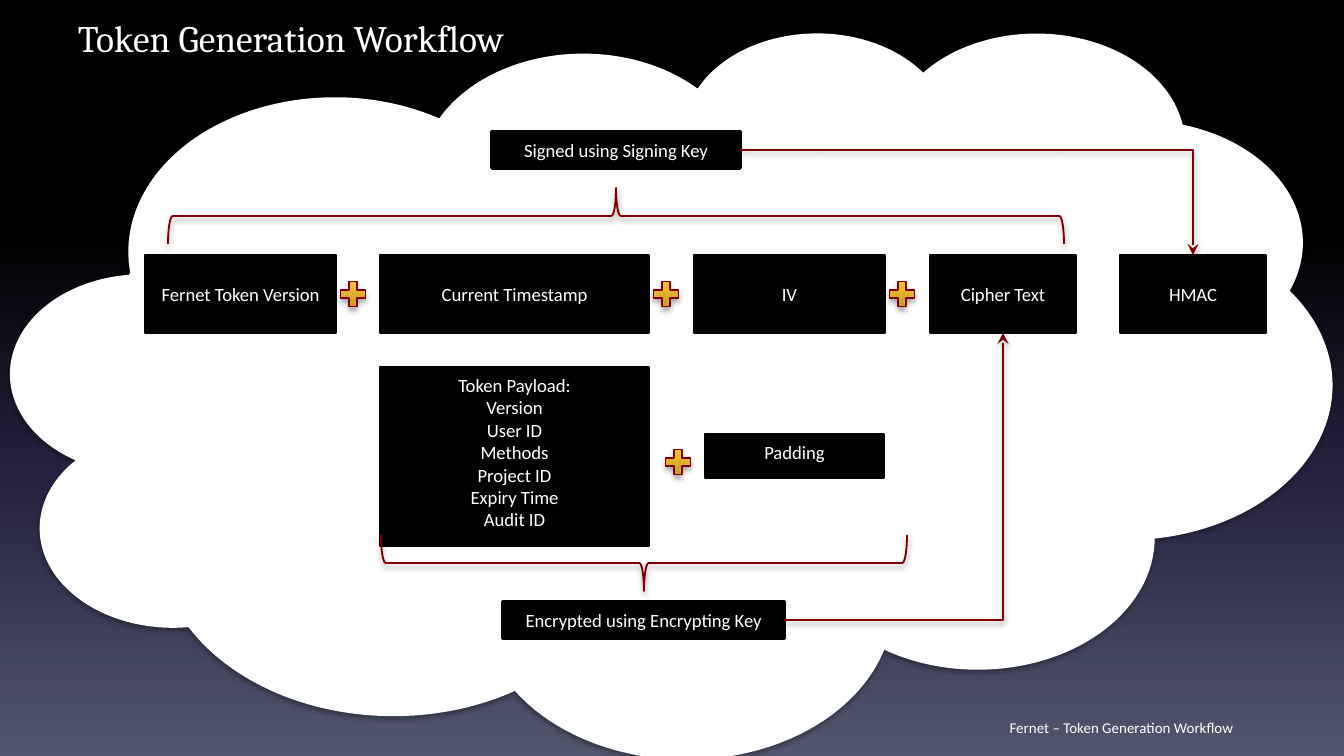
from dataclasses import dataclass
from typing import Any, Optional

from lxml.etree import SubElement
from pptx import Presentation
from pptx.dml.color import RGBColor
from pptx.enum.shapes import MSO_CONNECTOR, MSO_SHAPE
from pptx.enum.text import MSO_ANCHOR, MSO_AUTO_SIZE, PP_ALIGN
from pptx.oxml.ns import qn
from pptx.util import Emu, Pt

SCALE = 9144000 / 1344
BLACK = RGBColor(0x00, 0x00, 0x00)
WHITE = RGBColor(0xFF, 0xFF, 0xFF)
MAROON = RGBColor(0x80, 0x00, 0x00)
NIGHT = [(0, BLACK), (31, BLACK), (62, RGBColor(0x24, 0x21, 0x3E)),
         (100, RGBColor(0x51, 0x56, 0x6D))]
GOLD = [(0, RGBColor(0xBF, 0x94, 0x26)), (80, RGBColor(0xF8, 0xC0, 0x31)),
        (100, RGBColor(0xFD, 0xC3, 0x2D))]


@dataclass(frozen=True)
class Card:
    text: str
    left: int
    top: int
    width: int
    height: int
    anchor: Any = MSO_ANCHOR.MIDDLE
    fit: Any = MSO_AUTO_SIZE.NONE
    edge: float = 0.75


@dataclass(frozen=True)
class Brace:
    left: int
    top: int
    height: int
    turn: int


@dataclass(frozen=True)
class Arrow:
    start: str
    goal: str
    site: int


ROW = [("Fernet Token Version", 191), ("Current Timestamp", 269), ("IV", 191),
       ("Cipher Text", 146), ("HMAC", 146)]
ROW_LEFT, ROW_TOP, ROW_HIGH, GAP = 145, 255, 78, 44.5
PAYLOAD = "\n".join(["Token Payload:", "Version", "User ID", "Methods",
                     "Project ID", "Expiry Time", "Audit ID"])
SIGN, CRYPT = "Signed using Signing Key", "Encrypted using Encrypting Key"
TALL = {"anchor": MSO_ANCHOR.TOP}
KEY = {"anchor": MSO_ANCHOR.TOP, "fit": MSO_AUTO_SIZE.SHAPE_TO_FIT_TEXT, "edge": 2}
CARDS = [
    Card(PAYLOAD, 380, 367, 269, 179, **TALL),
    Card("Padding", 705, 434, 179, 44, **TALL),
    Card(CRYPT, 503, 602, 281, 36, **KEY),
    Card(SIGN, 492, 132, 248, 36, **KEY),
]
BRACES = [Brace(616, 300, 526, 270), Brace(588, -232, 896, 90)]
SIGNS = [(661, 445), (336, 277), (649, 277), (885, 277)]
ARROWS = [Arrow(SIGN, "HMAC", 0), Arrow(CRYPT, "Cipher Text", 2)]


def px(*spans: float) -> list[Emu]:
    return [Emu(round(span * SCALE)) for span in spans]


def apply(target: Any, values: dict[str, Any]) -> None:
    for name, value in values.items():
        setattr(target, name, value)


def blend(fill: Any, root: Any, stops: list, angle: int) -> None:
    fill.gradient()
    fill.gradient_angle = angle
    ramp = root.xpath(".//a:gsLst")[0]
    for stop in list(ramp):
        ramp.remove(stop)
    for place, color in stops:
        stop = SubElement(ramp, qn("a:gs"), pos=str(place * 1000))
        SubElement(stop, qn("a:srgbClr"), val=str(color))


def shade(shape: Any, alpha: int, reach: float) -> None:
    props = shape.element.spPr
    found = props.find(qn("a:effectLst"))
    group = SubElement(props, qn("a:effectLst")) if found is None else found
    cast = SubElement(group, qn("a:outerShdw"), blurRad=str(Pt(3.1)),
                      dist=str(Pt(reach)), dir="5400000", rotWithShape="0")
    color = SubElement(cast, qn("a:srgbClr"), val=str(BLACK))
    SubElement(color, qn("a:alpha"), val=str(alpha * 1000))


def write(shape: Any, text: str, size: int, font: str = "Calibri",
          anchor: Any = MSO_ANCHOR.MIDDLE, fit: Any = MSO_AUTO_SIZE.NONE) -> None:
    frame = shape.text_frame
    frame.text = text
    apply(frame, {"word_wrap": True, "auto_size": fit, "vertical_anchor": anchor})
    for line in frame.paragraphs:
        line.alignment = PP_ALIGN.CENTER
        for run in line.runs:
            apply(run.font, {"size": Pt(size), "name": font})
            run.font.color.rgb = WHITE


def draw(shapes: Any, kind: Any, box: tuple, fill: Optional[RGBColor],
         edge: Optional[RGBColor], width: float = 0.75) -> Any:
    shape = shapes.add_shape(kind, *px(*box))
    shape.shadow.inherit = False
    if fill is None:
        shape.fill.background()
    else:
        shape.fill.solid()
        shape.fill.fore_color.rgb = fill
    if edge is None:
        shape.line.fill.background()
    else:
        shape.line.color.rgb = edge
        shape.line.width = Pt(width)
    return shape


def add_card(shapes: Any, card: Card) -> Any:
    box = (card.left, card.top, card.width, card.height)
    shape = draw(shapes, MSO_SHAPE.RECTANGLE, box, BLACK, BLACK, card.edge)
    write(shape, card.text, 10, anchor=card.anchor, fit=card.fit)
    return shape


def add_brace(shapes: Any, brace: Brace) -> None:
    box = (brace.left, brace.top, 56, brace.height)
    shape = draw(shapes, MSO_SHAPE.LEFT_BRACE, box, None, MAROON, 1)
    shape.rotation = brace.turn
    shade(shape, 38, 1.6)


def add_plus(shapes: Any, left: int, top: int) -> None:
    shape = draw(shapes, MSO_SHAPE.MATH_PLUS, (left, top, 34, 34), None, MAROON)
    blend(shape.fill, shape.element, GOLD, 90)
    shade(shape, 35, 1.8)


def add_arrow(shapes: Any, arrow: Arrow, boxes: dict[str, Any]) -> None:
    start, goal = boxes[arrow.start], boxes[arrow.goal]
    end_y = goal.top + (goal.height if arrow.site == 2 else 0)
    wire = shapes.add_connector(
        MSO_CONNECTOR.ELBOW, start.left + start.width, start.top + start.height // 2,
        goal.left + goal.width // 2, end_y)
    wire.begin_connect(start, 3)
    wire.end_connect(goal, arrow.site)
    wire.element.spPr.find(qn("a:prstGeom")).set("prst", "bentConnector2")
    wire.line.color.rgb = MAROON
    wire.line.width = Pt(1)
    SubElement(wire.element.spPr.find(qn("a:ln")), qn("a:tailEnd"), type="stealth")
    shade(wire, 38, 1.6)


def main() -> None:
    deck = Presentation()
    deck.slide_width, deck.slide_height = px(1344, 756)
    slide = deck.slides.add_slide(deck.slide_layouts[5])
    shapes = slide.shapes
    blend(slide.background.fill, slide.element, NIGHT, 270)

    title = shapes.title
    apply(title, dict(zip(("left", "top", "width", "height"), px(0, 8, 582, 55))))
    write(title, "Token Generation Workflow", 20, "Cambria", MSO_ANCHOR.TOP)
    foot = shapes.add_textbox(*px(903, 714, 437, 27))
    write(foot, "Fernet – Token Generation Workflow", 8)
    cloud = draw(shapes, MSO_SHAPE.CLOUD, (11, 31, 1321, 726), WHITE, None)
    shade(cloud, 35, 1.8)

    boxes: dict[str, Any] = {}
    left = ROW_LEFT
    for text, width in ROW:
        card = Card(text, round(left), ROW_TOP, width, ROW_HIGH)
        boxes[text] = add_card(shapes, card)
        left += width + GAP
    for card in CARDS:
        boxes[card.text] = add_card(shapes, card)
    for arrow in ARROWS:
        add_arrow(shapes, arrow, boxes)
    for brace in BRACES:
        add_brace(shapes, brace)
    for spot in SIGNS:
        add_plus(shapes, *spot)
    deck.save("out.pptx")


main()
